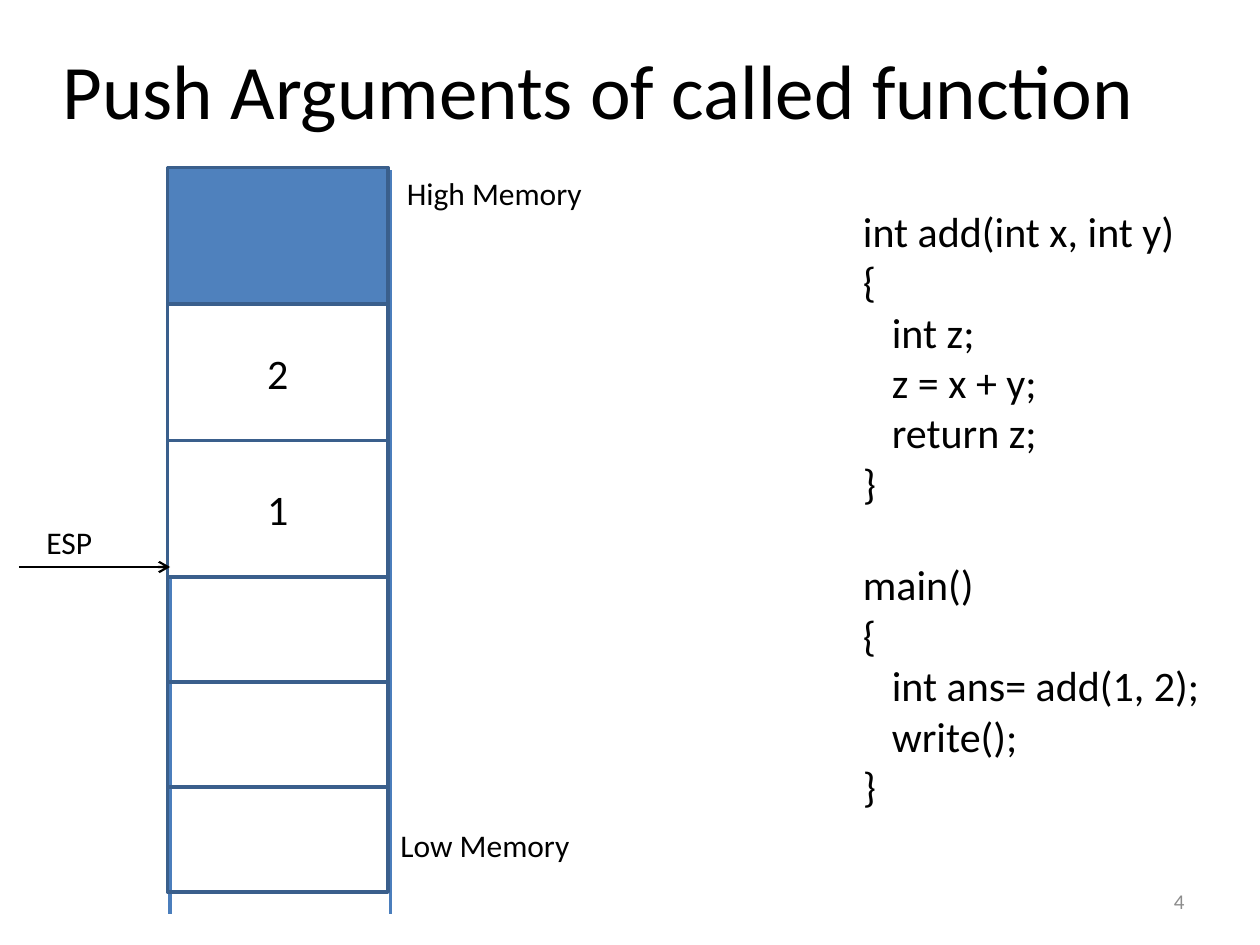
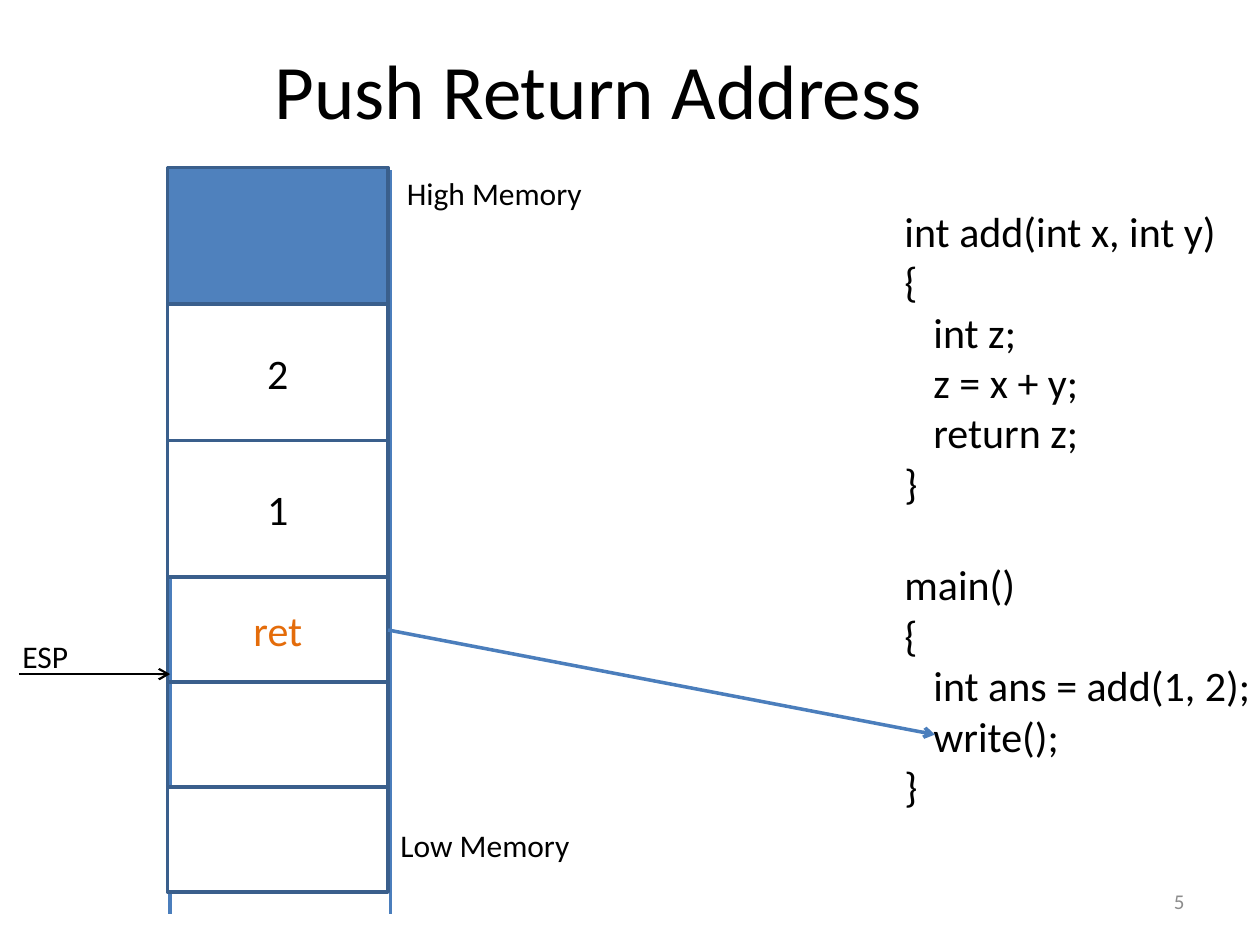
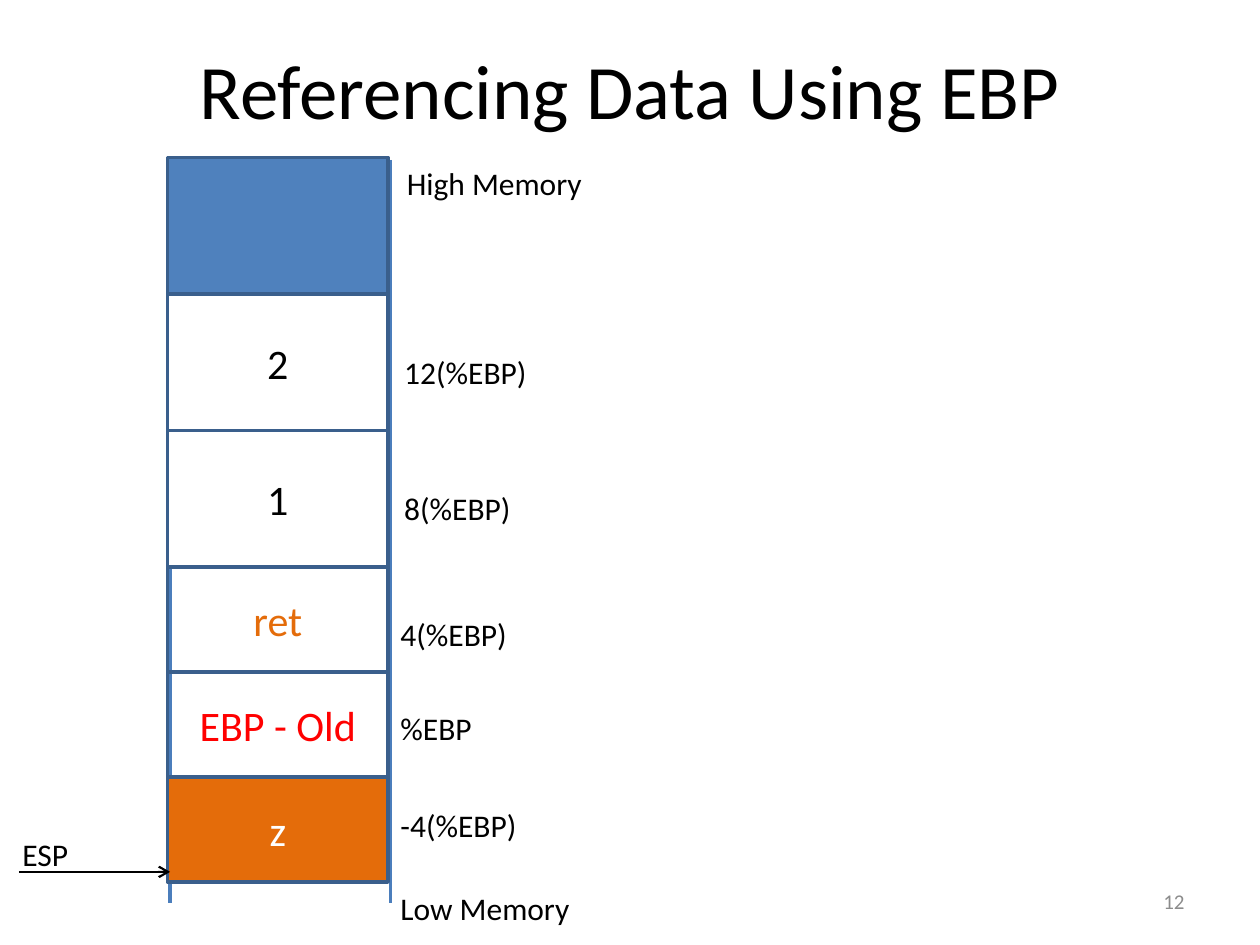
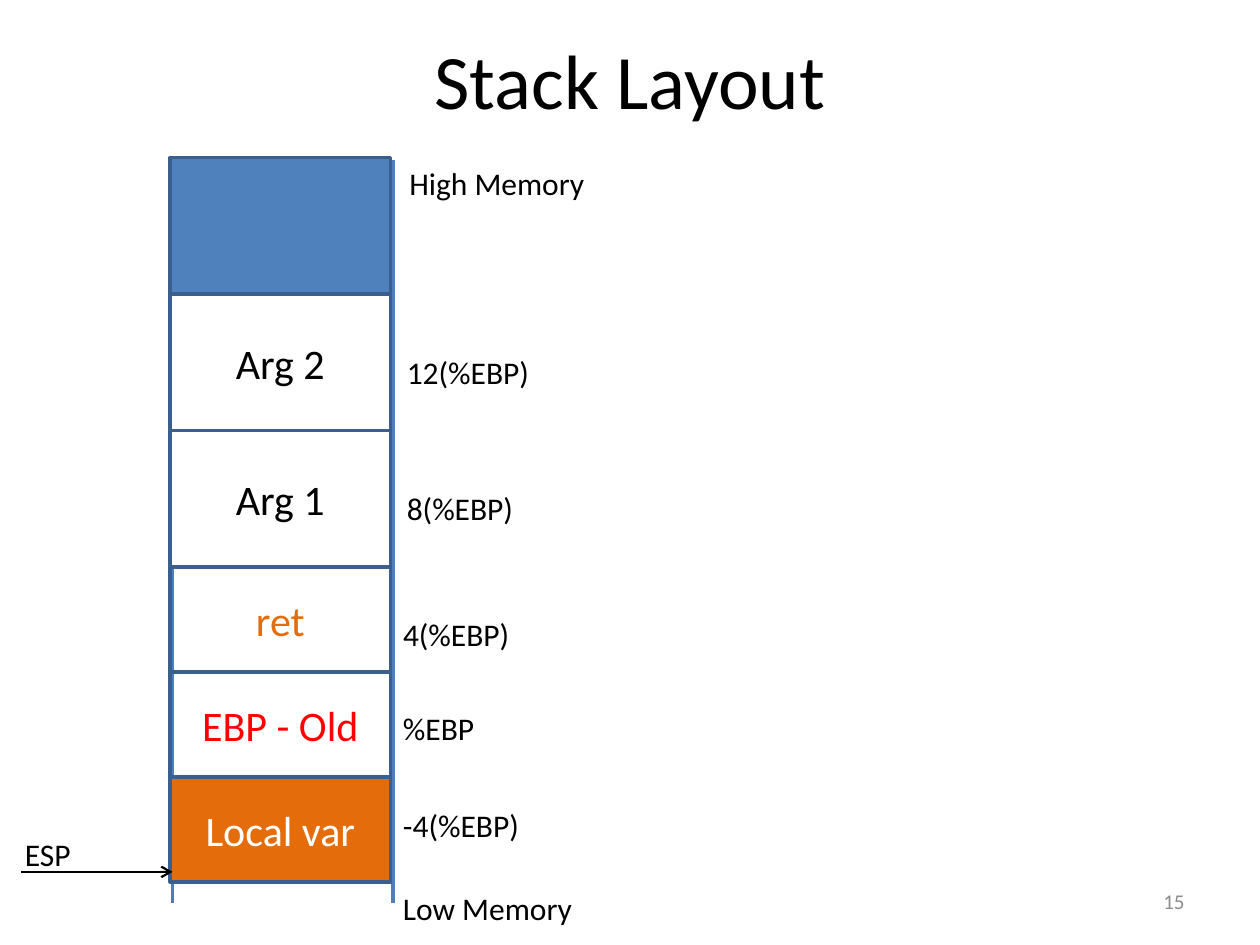
from dataclasses import dataclass
from lxml.etree import SubElement
from pptx import Presentation
from pptx.dml.color import RGBColor
from pptx.enum.shapes import MSO_CONNECTOR, MSO_SHAPE
from pptx.enum.text import MSO_ANCHOR, MSO_AUTO_SIZE, PP_ALIGN
from pptx.oxml.ns import qn
from pptx.util import Inches, Pt


@dataclass(frozen=True)
class Theme:
    font: str = "Calibri"
    title: int = 44
    body: int = 24
    label: int = 18
    number: int = 12
    black: str = "000000"
    white: str = "FFFFFF"
    grey: str = "8C8C8C"
    blue: str = "4F81BD"
    rail: str = "4B7EBC"
    border: str = "3A5F8C"
    orange: str = "E46C0A"
    red: str = "FF0000"
    heavy: float = 2
    thin: float = 1.25


THEME = Theme()
CELL_WIDTH = 1.75
TALL, SHORT = 13 / 12, 5 / 6  # argument cells and word cells
ROW_HEIGHTS = [TALL] * 3 + [SHORT] * 3
CODE_INDENT = 0.23
LINE_SPACE = 29.3  # one line of code, in points


class Deck:
    def __init__(self, theme):
        self.theme = theme
        self.prs = Presentation()
        self.prs.slide_width, self.prs.slide_height = Inches(10), Inches(7.5)
        self.slide = None

    def style(self, p, size, color, align=PP_ALIGN.LEFT):
        p.alignment = align
        p.font.name = self.theme.font
        p.font.size = Pt(size)
        p.font.color.rgb = RGBColor.from_string(color)

    def new_slide(self, title, number, left=0.5, top=0.08):
        t = self.theme
        self.slide = self.prs.slides.add_slide(self.prs.slide_layouts[5])
        sp = self.slide.shapes.title
        sp.left, sp.top = Inches(left), Inches(top)
        sp.width, sp.height = Inches(9), Inches(1.25)
        tf = sp.text_frame
        tf.text = title
        tf.vertical_anchor = MSO_ANCHOR.MIDDLE
        self.style(tf.paragraphs[0], t.title, t.black, PP_ALIGN.CENTER)
        # Slide number
        tf = self.text_box(7.17, 6.95, 2.33, 0.4)
        tf.word_wrap = True
        tf.vertical_anchor = MSO_ANCHOR.MIDDLE
        tf.text = str(number)
        self.style(tf.paragraphs[0], t.number, t.grey, PP_ALIGN.RIGHT)

    def text_box(self, x, y, w, h):
        sp = self.slide.shapes.add_textbox(Inches(x), Inches(y), Inches(w), Inches(h))
        return sp.text_frame

    def label(self, text, x, y, w):
        tf = self.text_box(x, y, w, 0.4)
        tf.word_wrap = False
        tf.auto_size = MSO_AUTO_SIZE.SHAPE_TO_FIT_TEXT
        tf.text = text
        self.style(tf.paragraphs[0], self.theme.label, self.theme.black)

    def line(self, x1, y1, x2, y2, color, width, arrow=False):
        cx = self.slide.shapes.add_connector(
            MSO_CONNECTOR.STRAIGHT, Inches(x1), Inches(y1), Inches(x2), Inches(y2))
        cx.line.color.rgb = RGBColor.from_string(color)
        cx.line.width = Pt(width)
        if arrow:
            SubElement(cx.line._get_or_add_ln(), qn("a:tailEnd"), type="arrow")
        SubElement(cx._element.spPr, qn("a:effectLst"))

    def cell(self, x, y, h, text, color, fill):
        t = self.theme
        sp = self.slide.shapes.add_shape(
            MSO_SHAPE.RECTANGLE, Inches(x), Inches(y), Inches(CELL_WIDTH), Inches(h))
        sp.shadow.inherit = False
        if fill:
            sp.fill.solid()
            sp.fill.fore_color.rgb = RGBColor.from_string(fill)
        else:
            sp.fill.background()
        sp.line.color.rgb = RGBColor.from_string(t.border)
        sp.line.width = Pt(t.heavy)
        tf = sp.text_frame
        tf.vertical_anchor = MSO_ANCHOR.MIDDLE
        if text:
            tf.text = text
            self.style(tf.paragraphs[0], t.body, color, PP_ALIGN.CENTER)

    def stack(self, left, top, low_y, cells):
        """Memory column: two rails, the filled top cell, then the given cells."""
        t = self.theme
        right = left + CELL_WIDTH
        self.label("Low Memory", right, low_y, 1.56)
        self.label("High Memory", right + 0.05, top, 1.61)
        for x in (left + 0.02, right + 0.02):
            self.line(x, top + 0.02, x, top + 5.92, t.rail, t.heavy)
        y = top
        for h, cell in zip(ROW_HEIGHTS, [("", t.black, t.blue)] + cells):
            self.cell(left, y, h, *cell)
            y += h

    def esp(self, left, y, label_x, label_y):
        """Stack pointer arrow that ends at the left rail."""
        t = self.theme
        self.line(left - 1.18, y, left + 0.02, y, t.black, t.thin, arrow=True)
        self.label("ESP", label_x, label_y, 0.57)

    def code(self, x, w, call):
        t = self.theme
        lines = [("int add(int x, int y)", 0), ("{", 0), ("int z;", 1),
                 ("z = x + y;", 1), ("return z;", 1), ("}", 0),
                 ("main()", 0), ("{", 0), (call, 1), ("write();", 1), ("}", 0)]
        tf = self.text_box(x, 1.58, w, 4.95)
        tf.word_wrap = False
        tf.auto_size = MSO_AUTO_SIZE.SHAPE_TO_FIT_TEXT
        for i, (text, depth) in enumerate(lines):
            p = tf.paragraphs[0] if i == 0 else tf.add_paragraph()
            p.text = text
            self.style(p, t.body, t.black)
            if depth:
                p._p.get_or_add_pPr().set("marL", str(Inches(CODE_INDENT)))
            if text == "main()":
                p.space_before = Pt(LINE_SPACE)

    def frame_slide(self, title, number, title_top, left, arg2, arg1, local):
        """Complete stack frame with the offset of each cell from EBP."""
        t = self.theme
        self.new_slide(title, number, top=title_top)
        self.stack(left, 1.25, 7.01, [
            (arg2, t.black, t.white), (arg1, t.black, t.white), RET,
            ("EBP - Old", t.red, None), (local, t.white, t.orange)])
        self.esp(left, 6.92, left - 1.25, 6.58)
        for text, dx, y, w in EBP_OFFSETS:
            self.label(text, left + CELL_WIDTH + dx, y, w)


# Cells that recur: text, text colour, fill
EMPTY = ("", THEME.black, None)
EMPTY_WHITE = ("", THEME.black, THEME.white)
RET = ("ret", THEME.orange, None)
ARGS = [(n, THEME.black, THEME.white) for n in ("2", "1")]

# Offset labels: text, shift from the stack, top, width
EBP_OFFSETS = [
    ("12(%EBP)", 0.03, 2.75, 1.18),
    ("8(%EBP)", 0.03, 3.83, 1.05),
    ("4(%EBP)", 0, 4.83, 1.05),
    ("%EBP", 0, 5.58, 0.77),
    ("-4(%EBP)", 0, 6.35, 1.13),
]

LEFT = 1.33
deck = Deck(THEME)

# Arguments on the stack
deck.new_slide("Push Arguments of called function", 4, left=0.25)
deck.stack(LEFT, 1.33, 6.51, ARGS + [EMPTY] * 3)
deck.esp(LEFT, 4.5, 0.27, 4.1)
deck.code(6.75, 2.89, "int ans= add(1, 2);")

# Return address points at the statement after the call
deck.new_slide("Push Return Address", 5, left=0.25)
deck.stack(LEFT, 1.33, 6.51, ARGS + [RET, EMPTY, EMPTY_WHITE])
deck.code(7.08, 2.96, "int ans = add(1, 2);")
deck.line(LEFT + CELL_WIDTH, 5, 7.42, 5.83, THEME.rail, THEME.heavy, arrow=True)
deck.esp(LEFT, 5.35, LEFT - 1.25, 5.01)

# Complete frames
deck.frame_slide("Referencing Data Using EBP", 12, 0.08, LEFT, "2", "1", "z")
deck.frame_slide("Stack Layout", 15, 0, 1.35, "Arg 2", "Arg 1", "Local var")

deck.prs.save("out.pptx")
